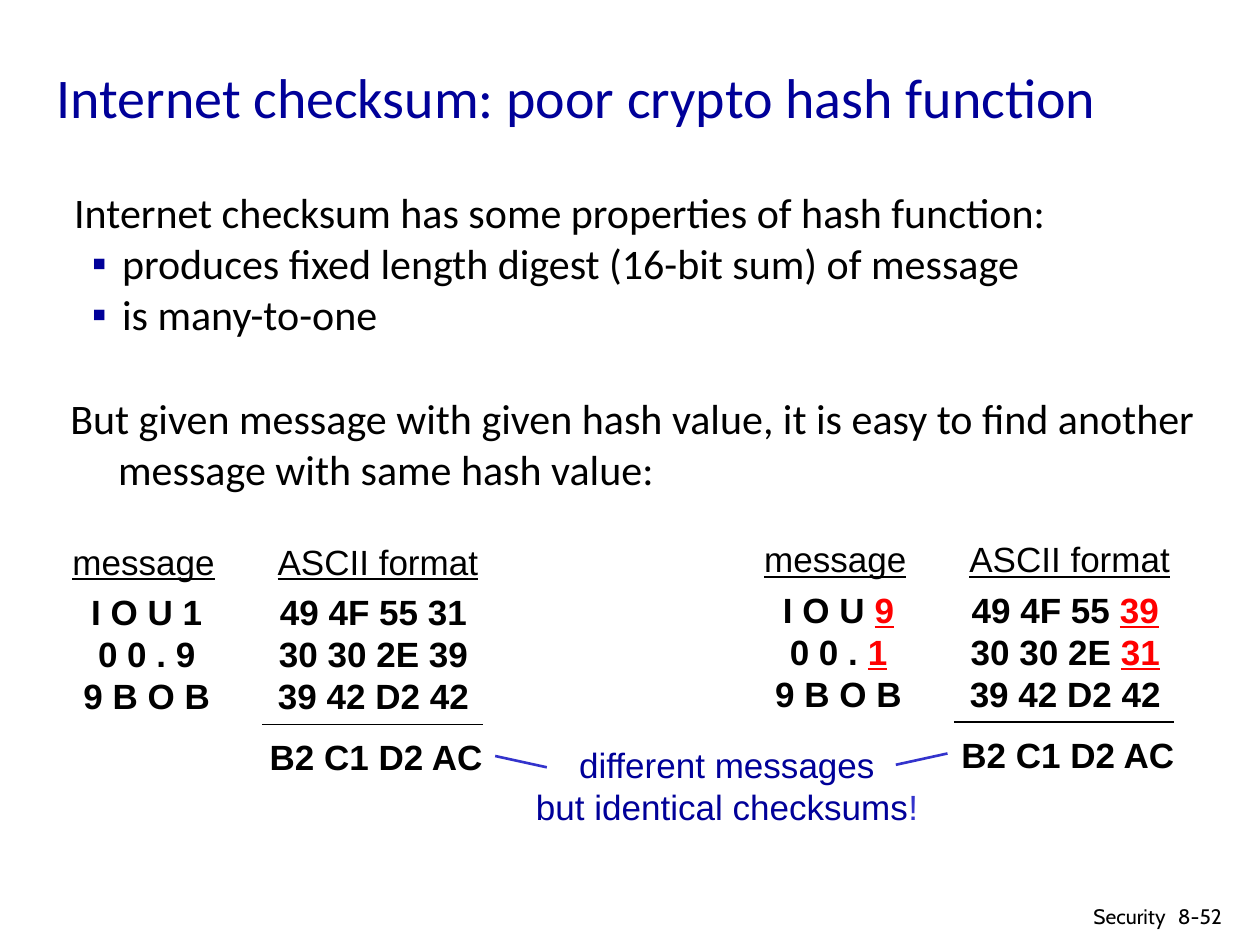
from lxml.etree import SubElement
from pptx import Presentation
from pptx.dml.color import RGBColor
from pptx.enum.shapes import MSO_CONNECTOR as Connector
from pptx.enum.text import MSO_ANCHOR as Anchor, PP_ALIGN as Align
from pptx.oxml.ns import qn
from pptx.util import Inches, Pt

BLACK = RGBColor(0x00, 0x00, 0x00)
NAVY = RGBColor(0x00, 0x00, 0x99)
BLUE = RGBColor(0x33, 0x33, 0xCC)
RED = RGBColor(0xFF, 0x00, 0x00)

CHANGED = {"color": RED, "underline": True}


def format_run(run, font="Arial", size=20, color=BLACK, bold=False, underline=False):
    run.font.name = font
    run.font.size = Pt(size)
    run.font.color.rgb = color
    run.font.bold = bold
    run.font.underline = underline


def add_text(slide, box, lines, align=Align.LEFT, anchor=Anchor.TOP, wrap=True, **style):
    shape = slide.shapes.add_textbox(*map(Inches, box))
    frame = shape.text_frame
    frame.word_wrap = wrap
    frame.vertical_anchor = anchor
    for index, line in enumerate(lines):
        paragraph = frame.add_paragraph() if index else frame.paragraphs[0]
        paragraph.alignment = align
        for text, changes in [(line, {})] if isinstance(line, str) else line:
            run = paragraph.add_run()
            run.text = text
            format_run(run, **{**style, **changes})
    return frame.paragraphs


def add_centered(slide, box, lines, **style):
    add_text(slide, box, lines, align=Align.CENTER, wrap=False, **style)


def set_hanging(paragraph, hanging, line_spacing=1.0):
    paragraph.line_spacing = line_spacing
    paragraph.space_before = Pt(4.8)
    properties = paragraph._p.get_or_add_pPr()
    properties.set("marL", str(Inches(0.38)))
    properties.set("indent", str(-Inches(hanging)))


def add_bullet(paragraph):
    properties = paragraph._p.get_or_add_pPr()
    color = SubElement(properties, qn("a:buClr"))
    SubElement(color, qn("a:srgbClr"), val=str(NAVY))
    SubElement(properties, qn("a:buFont"), typeface="Arial")
    SubElement(properties, qn("a:buChar"), char="▪")


def add_line(slide, start, end, color, width):
    line = slide.shapes.add_connector(Connector.STRAIGHT, *map(Inches, start + end))
    line.line.color.rgb = color
    line.line.width = Pt(width)
    SubElement(line._element.spPr, qn("a:effectLst"))


def add_checksum(slide, left, top, message, codes):
    add_centered(slide, (left + 0.09, top + 0.4, 1.21, 1.11), message, bold=True)
    add_centered(slide, (left + 1.63, top + 0.4, 1.73, 1.11), codes, bold=True)
    add_centered(slide, (left, top, 1.34, 0.44), ["message"], underline=True)
    add_centered(slide, (left + 1.63, top, 1.8, 0.44), ["ASCII format"], underline=True)
    add_line(slide, (left + 1.61, top + 1.51), (left + 3.36, top + 1.51), BLACK, 0.75)
    add_centered(slide, (left + 1.56, top + 1.55, 1.91, 0.44), ["B2 C1 D2 AC"], bold=True)


def add_statements(slide):
    properties = add_text(slide, (0.49, 1.49, 9.21, 2.32), [
        "Internet checksum has some properties of hash function:",
        "produces fixed length digest (16-bit sum) of message",
        "is many-to-one",
    ], font="Calibri", size=24)
    set_hanging(properties[0], 0.38, 0.85)
    for paragraph in properties[1:]:
        set_hanging(paragraph, 0.24, 0.85)
        add_bullet(paragraph)

    weakness = add_text(slide, (0.46, 3.07, 9.21, 1.07), [
        "But given message with given hash value, it is easy to find another "
        "message with same hash value:",
    ], font="Calibri", size=24)
    set_hanging(weakness[0], 0.38)


def main():
    presentation = Presentation()
    presentation.slide_width, presentation.slide_height = Inches(10), Inches(7.5)
    slide = presentation.slides.add_slide(presentation.slide_layouts[6])

    add_text(slide, (0.35, 0.3, 8.88, 0.92),
             ["Internet checksum: poor crypto hash function"],
             anchor=Anchor.MIDDLE, font="Calibri", size=32, color=NAVY)
    add_statements(slide)

    add_checksum(slide, 0.47, 4.24,
                 ["I O U 1", "0 0 . 9", "9 B O B"],
                 ["49 4F 55 31", "30 30 2E 39", "39 42 D2 42"])
    add_checksum(slide, 5.96, 4.22,
                 [[("I O U ", {}), ("9", CHANGED)],
                  [("0 0 . ", {}), ("1", CHANGED)],
                  "9 B O B"],
                 [[("49 4F 55 ", {}), ("39", CHANGED)],
                  [("30 30 2E ", {}), ("31", CHANGED)],
                  "39 42 D2 42"])

    add_centered(slide, (4.09, 5.85, 3.36, 0.77),
                 ["different messages",
                  [("but identical checksums", {}), ("!", {"color": BLUE})]],
                 color=NAVY)
    add_line(slide, (4.34, 6.09), (3.93, 6), BLUE, 1.5)
    add_line(slide, (7.11, 6.07), (7.52, 5.98), BLUE, 1.5)

    add_text(slide, (9.25, 7.12, 0.75, 0.3), ["8-52"], font="Cabin", size=12)
    add_text(slide, (8.56, 7.12, 0.79, 0.28), ["Security"],
             align=Align.RIGHT, font="Cabin", size=12)

    presentation.save("out.pptx")


if __name__ == "__main__":
    main()
